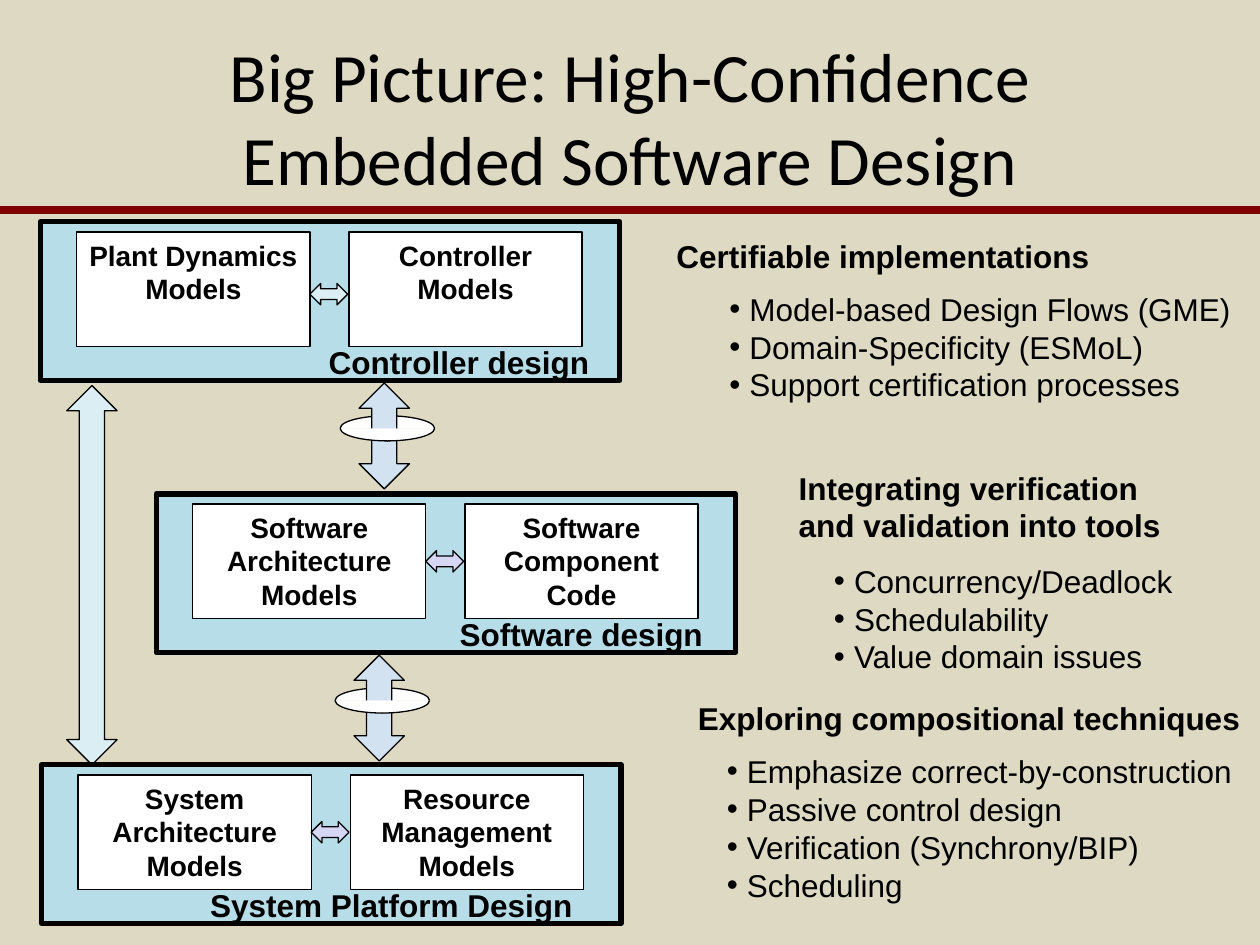
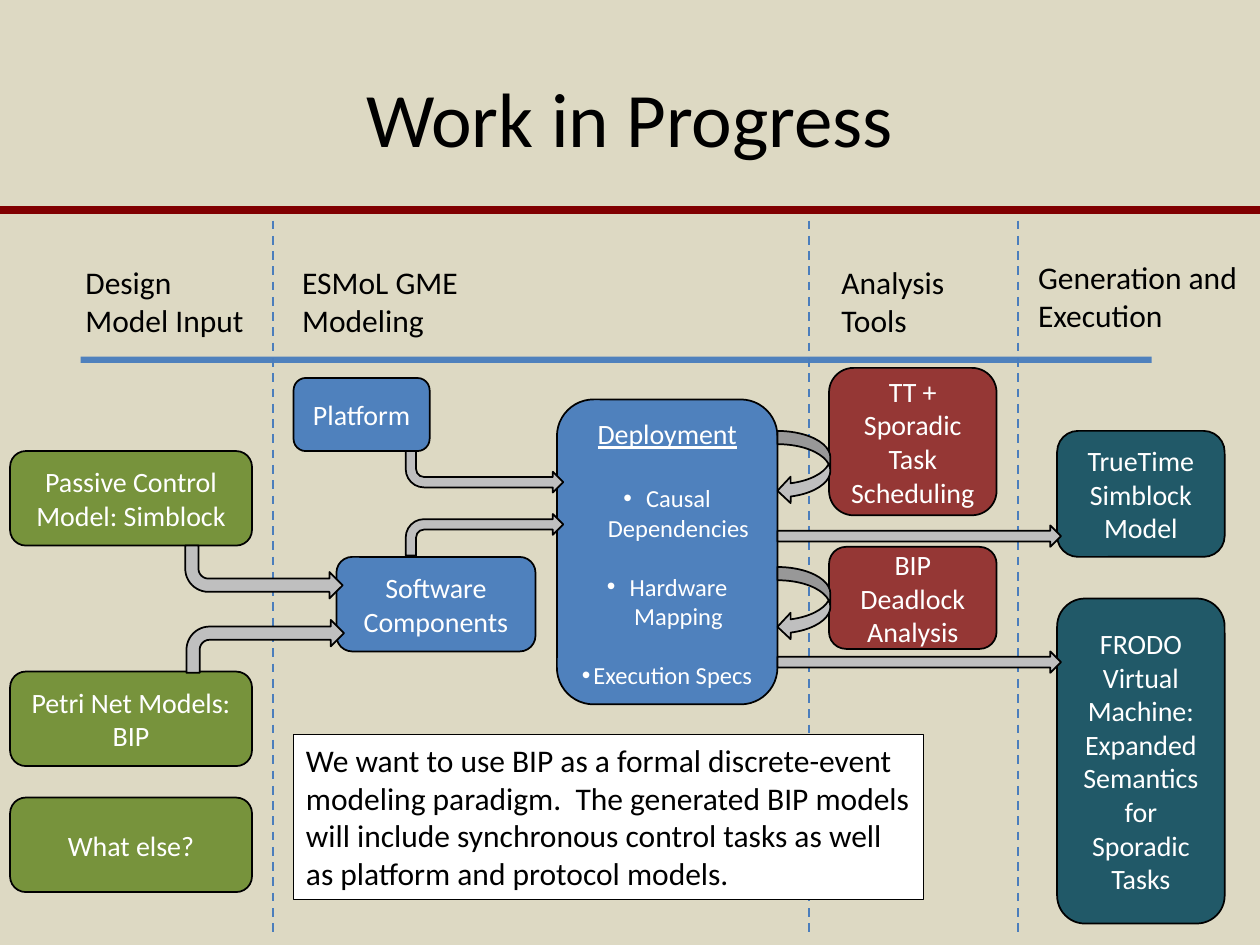
"""Build two slides on high-confidence embedded software design."""
from dataclasses import dataclass
from typing import Any, NamedTuple

from lxml.etree import SubElement
from pptx import Presentation
from pptx.dml.color import RGBColor
from pptx.enum.dml import MSO_LINE
from pptx.enum.shapes import MSO_CONNECTOR, MSO_SHAPE as Kind
from pptx.enum.text import MSO_ANCHOR as Anchor, MSO_AUTO_SIZE as AutoSize, PP_ALIGN as Align
from pptx.oxml.ns import qn
from pptx.util import Emu, Pt

EMU_PER_PX = 9144


@dataclass(frozen=True)
class Theme:
    background: str = "DDD9C3"
    rule: str = "800000"
    black: str = "000000"
    white: str = "FFFFFF"
    frame: str = "B7DEE8"
    pale_cyan: str = "DBEEF4"
    lavender: str = "D6D6F5"
    pale_blue: str = "D3E2F1"
    blue: str = "4F81BD"
    divider: str = "4B7EBC"
    green: str = "77933C"
    red: str = "953735"
    teal: str = "215968"
    grey: str = "BFBFBF"
    heading_font: str = "Calibri"
    diagram_font: str = "Arial"
    title_size: float = 44
    long_title_size: float = 39.6
    body_size: float = 18
    box_size: float = 16
    detail_size: float = 14


THEME = Theme()


class Box(NamedTuple):
    left: int
    top: int
    width: int
    height: int


class Style(NamedTuple):
    font: str
    size: float
    color: str = THEME.black
    bold: bool = False
    underline: bool = False
    align: Align = Align.LEFT


class Tier(NamedTuple):
    left: int
    top: int
    models: tuple[str, str]
    link_drop: int
    link_color: str
    label: str
    label_box: Box


class Topic(NamedTuple):
    heading: str
    heading_box: Box
    points: str
    points_box: Box


class Node(NamedTuple):
    text: str
    box: Box
    color: str


class Arrow(NamedTuple):
    kind: Kind
    box: Box
    flip: str = ""


class Detail(NamedTuple):
    text: str
    hang: int
    space_before: int


TITLE = Style(THEME.heading_font, THEME.title_size, align=Align.CENTER)
LONG_TITLE = TITLE._replace(size=THEME.long_title_size)
MODEL = Style(THEME.diagram_font, THEME.box_size, bold=True, align=Align.CENTER)
TOPIC = Style(THEME.diagram_font, THEME.body_size, bold=True)
POINT = TOPIC._replace(bold=False)
COLUMN = Style(THEME.heading_font, THEME.body_size)
NODE = Style(THEME.heading_font, THEME.box_size, THEME.white, align=Align.CENTER)
NODE_HEADING = NODE._replace(underline=True)
DETAIL = NODE._replace(size=THEME.detail_size)

POINT_HANG = 16

TIERS = (
    Tier(32, 176, ("Plant Dynamics\nModels", "Controller Models"), 49, THEME.pale_cyan,
         "Controller design", Box(251, 267, 229, 40)),
    Tier(124, 392, ("Software\nArchitecture\nModels", "Software Component Code"), 45, THEME.lavender,
         "Software design", Box(355, 483, 237, 44)),
    Tier(33, 607, ("System\nArchitecture Models", "Resource\nManagement\nModels"), 45, THEME.lavender,
         "System Platform Design", Box(157, 698, 343, 44)),
)
RINGED_ARROWS = ((269, 304), (265, 520))
TOPICS = (
    Topic("Certifiable implementations", Box(527, 183, 473, 40),
          "Model-based Design Flows (GME)\nDomain-Specificity (ESMoL)\nSupport certification processes",
          Box(569, 225, 423, 101)),
    Topic("Integrating verification and validation into tools", Box(624, 367, 310, 71),
          "Concurrency/Deadlock\nSchedulability\nValue domain issues", Box(652, 441, 423, 101)),
    Topic("Exploring compositional techniques", Box(544, 550, 473, 40),
          "Emphasize correct-by-construction\nPassive control design\nVerification (Synchrony/BIP)\nScheduling",
          Box(567, 592, 423, 131)),
)

DIVIDERS = (217, 642, 808)
COLUMNS = (
    ("Design Model Input", Box(58, 204, 150, 71)),
    ("ESMoL GME Modeling", Box(230, 204, 145, 71)),
    ("Analysis Tools", Box(658, 204, 120, 71)),
    ("Generation and Execution", Box(814, 200, 178, 71)),
)
NODES = (
    Node("Passive Control Model: Simblock", Box(8, 358, 192, 75), THEME.green),
    Node("Petri Net Models: BIP", Box(8, 533, 192, 75), THEME.green),
    Node("What else?", Box(8, 633, 192, 75), THEME.green),
    Node("Platform", Box(233, 300, 108, 58), THEME.blue),
    Node("Software Components", Box(267, 442, 158, 75), THEME.blue),
    Node("TT + Sporadic Task Scheduling", Box(658, 292, 133, 117), THEME.red),
    Node("BIP Deadlock Analysis", Box(658, 434, 133, 81), THEME.red),
    Node("TrueTime\nSimblock\nModel", Box(839, 342, 133, 100), THEME.teal),
    Node("FRODO Virtual Machine:\nExpanded Semantics for Sporadic Tasks", Box(839, 475, 133, 258), THEME.teal),
)
DETAILS = (
    Detail("Causal Dependencies", 18, 19),
    Detail("Hardware Mapping", 18, 17),
    Detail("Execution Specs", 9, 17),
)
ARROWS = (
    Arrow(Kind.BENT_ARROW, Box(147, 433, 125, 42), "V"),
    Arrow(Kind.BENT_ARROW, Box(148, 492, 125, 42)),
    Arrow(Kind.BENT_ARROW, Box(322, 358, 125, 33), "V"),
    Arrow(Kind.BENT_ARROW, Box(322, 408, 125, 33)),
    Arrow(Kind.CURVED_LEFT_ARROW, Box(617, 342, 42, 58)),
    Arrow(Kind.CURVED_LEFT_ARROW, Box(617, 450, 42, 58)),
    Arrow(Kind.RIGHT_ARROW, Box(617, 417, 225, 17)),
    Arrow(Kind.RIGHT_ARROW, Box(617, 517, 225, 17)),
)
NOTE = ("We want to use BIP as a formal discrete-event modeling paradigm.\u2002The generated BIP models will "
        "include synchronous control tasks as well as platform and protocol models.").replace("\u2002", "  ")


def px(length: int) -> Emu:
    """Turn px into EMU."""
    return Emu(length * EMU_PER_PX)


def rgb(color: str) -> RGBColor:
    """Turn a hex value into a colour."""
    return RGBColor.from_string(color)


def apply(target: Any, **values: Any) -> None:
    """Set every given attribute on the target."""
    for name, value in values.items():
        setattr(target, name, value)


def add_bullet(paragraph: Any, hang: int) -> None:
    """Give a paragraph a hanging bullet."""
    properties = paragraph._p.get_or_add_pPr()
    properties.set("marL", str(px(hang)))
    properties.set("indent", str(-px(hang)))
    SubElement(properties, qn("a:buFont"), typeface="Arial")
    SubElement(properties, qn("a:buChar"), char="•")


def format_paragraph(paragraph: Any, text: str, style: Style) -> None:
    """Fill a paragraph with styled text."""
    apply(paragraph, text=text, alignment=style.align)
    for run in paragraph.runs:
        apply(run.font, name=style.font, size=Pt(style.size), bold=style.bold, underline=style.underline)
        run.font.color.rgb = rgb(style.color)


def write(shape: Any, text: str, style: Style, hang: int = 0, **frame: Any) -> None:
    """Write one paragraph per line of text, with bullets if a hang is given."""
    text_frame = shape.text_frame
    apply(text_frame, **({"word_wrap": True, "vertical_anchor": Anchor.TOP} | frame))
    for index, line in enumerate(text.split("\n")):
        paragraph = text_frame.add_paragraph() if index else text_frame.paragraphs[0]
        format_paragraph(paragraph, line, style)
        if hang:
            add_bullet(paragraph, hang)


def add_text(slide: Any, box: Box, text: str, style: Style, hang: int = 0, **frame: Any) -> None:
    """Add a text box that grows with its text."""
    shape = slide.shapes.add_textbox(*map(px, box))
    write(shape, text, style, hang, **({"auto_size": AutoSize.SHAPE_TO_FIT_TEXT} | frame))


def add_block(slide: Any, kind: Kind, box: Box, fill: str, line: float = 0.75, flip: str = "") -> Any:
    """Add a filled preset shape, outlined in black unless line is 0."""
    shape = slide.shapes.add_shape(kind, *map(px, box))
    shape.shadow.inherit = False
    shape.fill.solid()
    shape.fill.fore_color.rgb = rgb(fill)
    if line:
        shape.line.color.rgb = rgb(THEME.black)
        shape.line.width = Pt(line)
    else:
        shape.line.fill.background()
    for axis in flip:
        shape.element.spPr.xfrm.set(f"flip{axis}", "1")
    return shape


def add_line(slide: Any, ends: tuple[int, int, int, int], color: str, width: float, dash: Any = None) -> None:
    """Add a straight line without a shadow."""
    connector = slide.shapes.add_connector(MSO_CONNECTOR.STRAIGHT, *map(px, ends))
    connector.line.color.rgb = rgb(color)
    apply(connector.line, width=Pt(width), dash_style=dash)
    SubElement(connector.element.spPr, qn("a:effectLst"))


def add_slide(presentation: Any, title: str, style: Style) -> Any:
    """Add a slide with the shared background, rule and title."""
    slide = presentation.slides.add_slide(presentation.slide_layouts[6])
    slide.background.fill.solid()
    slide.background.fill.fore_color.rgb = rgb(THEME.background)
    add_line(slide, (0, 167, 1000, 167), THEME.rule, 4.5)
    add_text(slide, Box(50, 30, 900, 125), title, style,
             auto_size=AutoSize.NONE, vertical_anchor=Anchor.MIDDLE)
    return slide


def add_tier(slide: Any, tier: Tier) -> None:
    """Draw a design tier with its two linked models and label."""
    add_block(slide, Kind.RECTANGLE, Box(tier.left, tier.top, 460, 126), THEME.frame, 3)
    for offset, text in zip((29, 245), tier.models):
        model = add_block(slide, Kind.RECTANGLE, Box(tier.left + offset, tier.top + 8, 185, 91), THEME.white)
        write(model, text, MODEL)
    link = Box(tier.left + 214, tier.top + tier.link_drop, 30, 17)
    add_block(slide, Kind.LEFT_RIGHT_ARROW, link, tier.link_color)
    add_text(slide, tier.label_box, tier.label, TOPIC, word_wrap=False)


def add_ringed_arrow(slide: Any, left: int, top: int) -> None:
    """Draw a vertical arrow passing through a ring made of four arcs."""
    def add_half_ring(flips: tuple[str, str]) -> None:
        """Draw the right and left arcs of half a ring."""
        for shift, flip in enumerate(flips):
            add_block(slide, Kind.ARC, Box(left + shift, top + 26, 76, 20), THEME.white, flip=flip)

    add_half_ring(("", "H"))
    add_block(slide, Kind.UP_DOWN_ARROW, Box(left + 16, top, 40, 84), THEME.pale_blue)
    add_half_ring(("V", "HV"))


def build_big_picture(presentation: Any) -> None:
    """Build the slide of design tiers and topics."""
    slide = add_slide(presentation, "Big Picture: High-Confidence\vEmbedded Software Design", LONG_TITLE)
    add_block(slide, Kind.UP_DOWN_ARROW, Box(53, 306, 40, 301), THEME.pale_cyan)
    for tier in TIERS:
        add_tier(slide, tier)
    for left, top in RINGED_ARROWS:
        add_ringed_arrow(slide, left, top)
    for topic in TOPICS:
        add_text(slide, topic.heading_box, topic.heading, TOPIC)
        add_text(slide, topic.points_box, topic.points, POINT, POINT_HANG)


def build_work_in_progress(presentation: Any) -> None:
    """Build the slide of the tool flow."""
    slide = add_slide(presentation, "Work in Progress", TITLE)
    add_block(slide, Kind.RECTANGLE, Box(64, 283, 850, 5), THEME.blue, 0)
    for left in DIVIDERS:
        add_line(slide, (left, 175, left, 742), THEME.divider, 1.25, MSO_LINE.DASH)
    for text, box in COLUMNS:
        add_text(slide, box, text, COLUMN)
    for node in NODES:
        shape = add_block(slide, Kind.ROUNDED_RECTANGLE, node.box, node.color, 1)
        write(shape, node.text, NODE, vertical_anchor=Anchor.MIDDLE)
    deployment = add_block(slide, Kind.ROUNDED_RECTANGLE, Box(442, 317, 175, 242), THEME.blue, 1)
    write(deployment, "Deployment", NODE_HEADING)
    for detail in DETAILS:
        paragraph = deployment.text_frame.add_paragraph()
        format_paragraph(paragraph, detail.text, DETAIL)
        paragraph.space_before = Pt(detail.space_before)
        add_bullet(paragraph, detail.hang)
    for arrow in ARROWS:
        add_block(slide, arrow.kind, arrow.box, THEME.grey, 1, arrow.flip)
    note = add_block(slide, Kind.RECTANGLE, Box(233, 583, 500, 131), THEME.white, 1)
    write(note, NOTE, COLUMN, auto_size=AutoSize.SHAPE_TO_FIT_TEXT)


def main() -> None:
    """Build and save the presentation."""
    presentation = Presentation()
    apply(presentation, slide_width=px(1000), slide_height=px(750))
    build_big_picture(presentation)
    build_work_in_progress(presentation)
    presentation.save("out.pptx")


if __name__ == "__main__":
    main()
